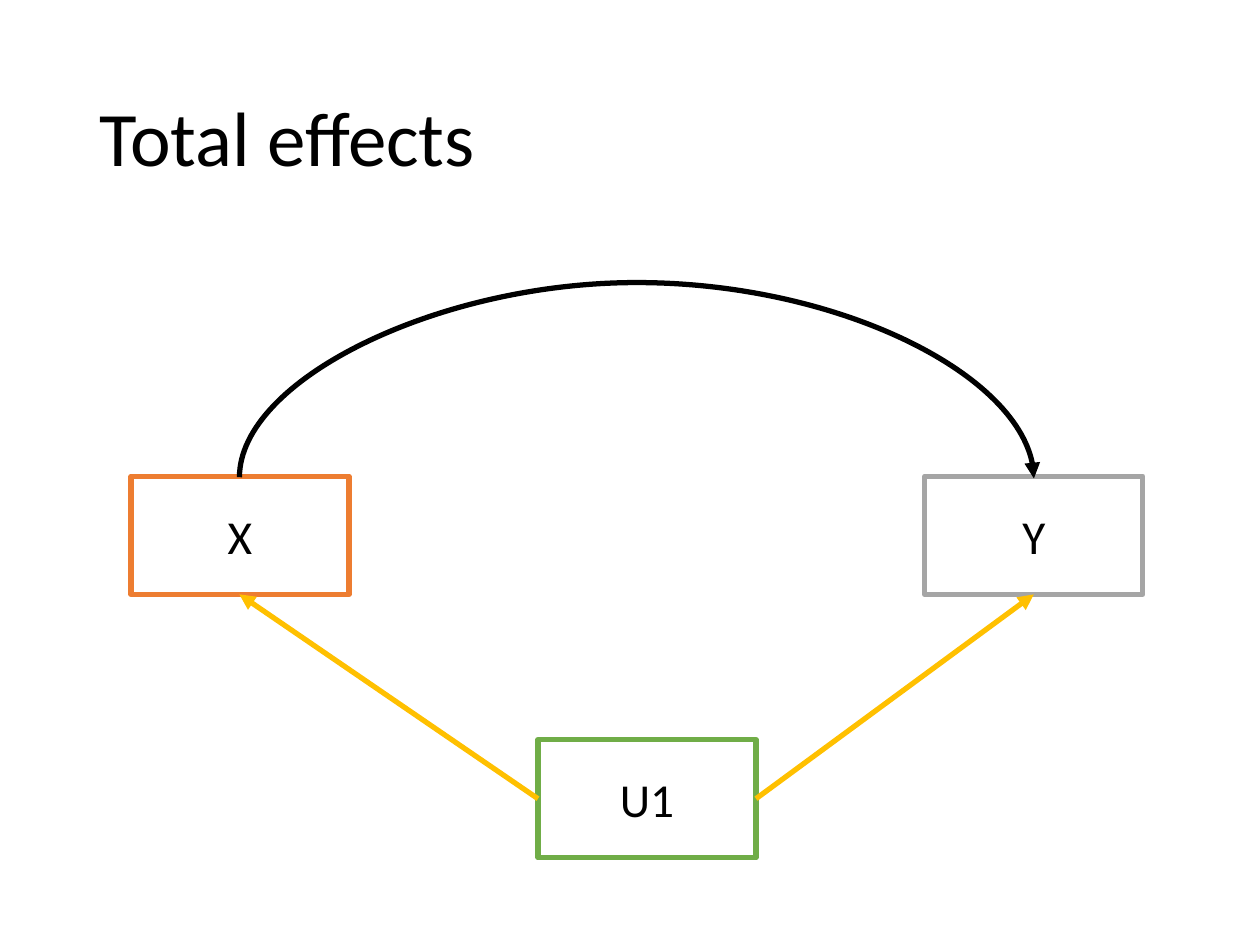
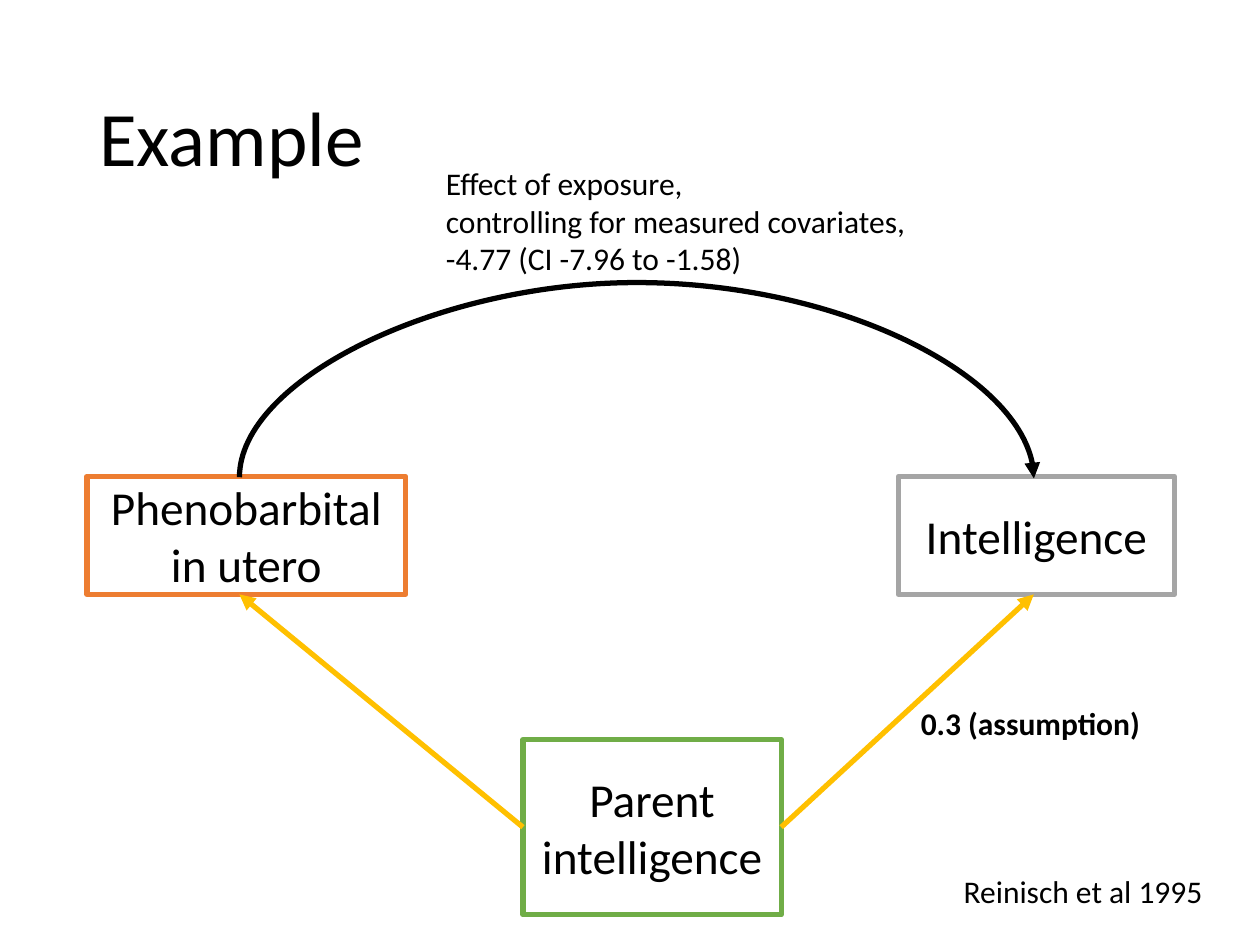
"""Build two slides of causal diagrams with a shared layout."""
from dataclasses import dataclass

from lxml import etree
from pptx import Presentation
from pptx.dml.color import RGBColor
from pptx.enum.shapes import MSO_CONNECTOR, MSO_SHAPE
from pptx.enum.text import MSO_ANCHOR, PP_ALIGN
from pptx.oxml.ns import qn
from pptx.util import Inches, Pt

STRAIGHT, CURVE = MSO_CONNECTOR.STRAIGHT, MSO_CONNECTOR.CURVE
RECTANGLE = MSO_SHAPE.RECTANGLE
TOP, MIDDLE = MSO_ANCHOR.TOP, MSO_ANCHOR.MIDDLE
LEFT, CENTER = PP_ALIGN.LEFT, PP_ALIGN.CENTER

BLACK = RGBColor(0x00, 0x00, 0x00)
WHITE = RGBColor(0xFF, 0xFF, 0xFF)
EXPOSURE_ORANGE = RGBColor(0xED, 0x7D, 0x31)
OUTCOME_GRAY = RGBColor(0xA5, 0xA5, 0xA5)
CONFOUNDER_GREEN = RGBColor(0x70, 0xAD, 0x47)
ARROW_GOLD = RGBColor(0xFF, 0xC0, 0x00)

FONT = "Calibri"
LINE_WIDTH = Pt(3)
SLIDE_WIDTH, SLIDE_HEIGHT = Inches(10), Inches(7.5)
GRID = 100
EXPOSURE_COLUMN, OUTCOME_COLUMN = 19, 82.05
NODE_ROW, NODE_ROWS, CONFOUNDER_ROW = 50.4, 12.5, 78.27
ARC_RISE = Inches(1.57)
ARC_DEPTH = Inches(0.01)


@dataclass
class Box:
    """A rectangle whose areas are placed on a grid of 100 columns and rows."""

    left: int
    top: int
    width: int
    height: int

    def point(self, column, row):
        """Return the position of a grid point."""
        return (self.left + round(self.width * column / GRID),
                self.top + round(self.height * row / GRID))

    def area(self, column, row, columns, rows):
        """Return the box that covers a range of the grid."""
        return Box(*self.point(column, row),
                   round(self.width * columns / GRID),
                   round(self.height * rows / GRID))

    @property
    def frame(self):
        """Return left, top, width and height."""
        return self.left, self.top, self.width, self.height


def write_text(shape, text, size=18, bold=False, align=LEFT, anchor=TOP,
               wrap=True, spacing=None):
    """Fill a shape with one paragraph for each line of text."""
    frame = shape.text_frame
    frame.text = text
    frame.word_wrap = wrap
    frame.vertical_anchor = anchor
    for paragraph in frame.paragraphs:
        paragraph.alignment = align
        paragraph.line_spacing = spacing
        font = paragraph.runs[0].font
        font.name, font.size, font.bold = FONT, Pt(size), bold
        font.color.rgb = BLACK


def add_label(slide, box, text, **text_format):
    """Add a text box."""
    write_text(slide.shapes.add_textbox(*box.frame), text, **text_format)


def add_node(slide, box, text, color):
    """Add a white box with a coloured outline."""
    node = slide.shapes.add_shape(RECTANGLE, *box.frame)
    node.shadow.inherit = False
    node.fill.solid()
    node.fill.fore_color.rgb = WHITE
    node.line.color.rgb = color
    node.line.width = LINE_WIDTH
    write_text(node, text, size=27, align=CENTER, anchor=MIDDLE)


def add_arrow(slide, start, end, color, kind=STRAIGHT):
    """Add a connector with an arrowhead at its end."""
    arrow = slide.shapes.add_connector(kind, *start, *end)
    arrow.line.color.rgb = color
    arrow.line.width = LINE_WIDTH
    properties = arrow._element.spPr
    outline = properties.find(qn("a:ln"))
    etree.SubElement(outline, qn("a:tailEnd"), type="triangle")
    etree.SubElement(properties, qn("a:effectLst"))
    return arrow


def add_arc(slide, start, end):
    """Add a curved arrow that rises above its two ends."""
    arc = add_arrow(slide, start, end, BLACK, CURVE)
    span = end[0] - start[0]
    arc.left = (start[0] + end[0] - ARC_DEPTH) // 2
    arc.top = start[1] + (ARC_DEPTH - span) // 2
    arc.width, arc.height = ARC_DEPTH, span
    properties = arc._element.spPr
    transform = properties.find(qn("a:xfrm"))
    transform.set("rot", str(270 * 60000))
    transform.set("flipH", "1")
    adjustments = properties.find(qn("a:prstGeom")).find(qn("a:avLst"))
    share = round(-100000 * ARC_RISE / ARC_DEPTH)
    etree.SubElement(adjustments, qn("a:gd"), name="adj1", fmla=f"val {share}")


def add_diagram(slide, box, exposure, outcome, confounder):
    """Draw exposure, outcome and confounder, each a text, column and width."""
    exposure_text, exposure_left, exposure_width = exposure
    outcome_text, outcome_left, outcome_width = outcome
    confounder_text, confounder_left, confounder_width, confounder_rows = confounder
    add_node(slide, box.area(exposure_left, NODE_ROW, exposure_width, NODE_ROWS),
             exposure_text, EXPOSURE_ORANGE)
    add_node(slide, box.area(outcome_left, NODE_ROW, outcome_width, NODE_ROWS),
             outcome_text, OUTCOME_GRAY)
    add_arc(slide, box.point(EXPOSURE_COLUMN, NODE_ROW + 0.1),
            box.point(OUTCOME_COLUMN, NODE_ROW + 0.1))
    add_node(slide, box.area(confounder_left, CONFOUNDER_ROW, confounder_width,
                             confounder_rows), confounder_text, CONFOUNDER_GREEN)
    middle = CONFOUNDER_ROW + confounder_rows / 2
    sides = ((confounder_left, EXPOSURE_COLUMN),
             (confounder_left + confounder_width, OUTCOME_COLUMN))
    for side, target in sides:
        add_arrow(slide, box.point(side, middle),
                  box.point(target, NODE_ROW + NODE_ROWS), ARROW_GOLD)


def add_estimates(slide, box):
    """Add the effect sizes and the citation."""
    add_label(slide, box.area(34.4, 16.67, 38.9, 13.47),
              "Effect of exposure,\ncontrolling for measured covariates,\n"
              "-4.77 (CI -7.96 to -1.58)", wrap=False)
    add_label(slide, box.area(75.5, 91.6, 23.4, 5.33), "Reinisch et al 1995")
    add_label(slide, box.area(72.1, 73.87, 19.6, 5.33), "0.3 (assumption)",
              bold=True, wrap=False)


def add_titled_slide(presentation, box, title):
    """Add a blank slide with the shared title style."""
    slide = presentation.slides.add_slide(presentation.slide_layouts[6])
    add_label(slide, box.area(6.9, 5.33, 86.2, 19.33), title, size=44,
              anchor=MIDDLE, spacing=0.9)
    return slide


def main():
    """Build and save the presentation."""
    presentation = Presentation()
    presentation.slide_width, presentation.slide_height = SLIDE_WIDTH, SLIDE_HEIGHT
    page = Box(0, 0, SLIDE_WIDTH, SLIDE_HEIGHT)

    total_effects = add_titled_slide(presentation, page, "Total effects")
    add_diagram(total_effects, page, ("X", 10.4, 17.3), ("Y", 73.4, 17.3),
                ("U1", 42.7, 17.3, NODE_ROWS))

    example = add_titled_slide(presentation, page, "Example")
    add_diagram(example, page, ("Phenobarbital\nin utero", 6.9, 25.3),
                ("Intelligence", 71.3, 21.9),
                ("Parent intelligence", 41.5, 20.5, 18.53))
    add_estimates(example, page)

    presentation.save("out.pptx")


if __name__ == "__main__":
    main()
